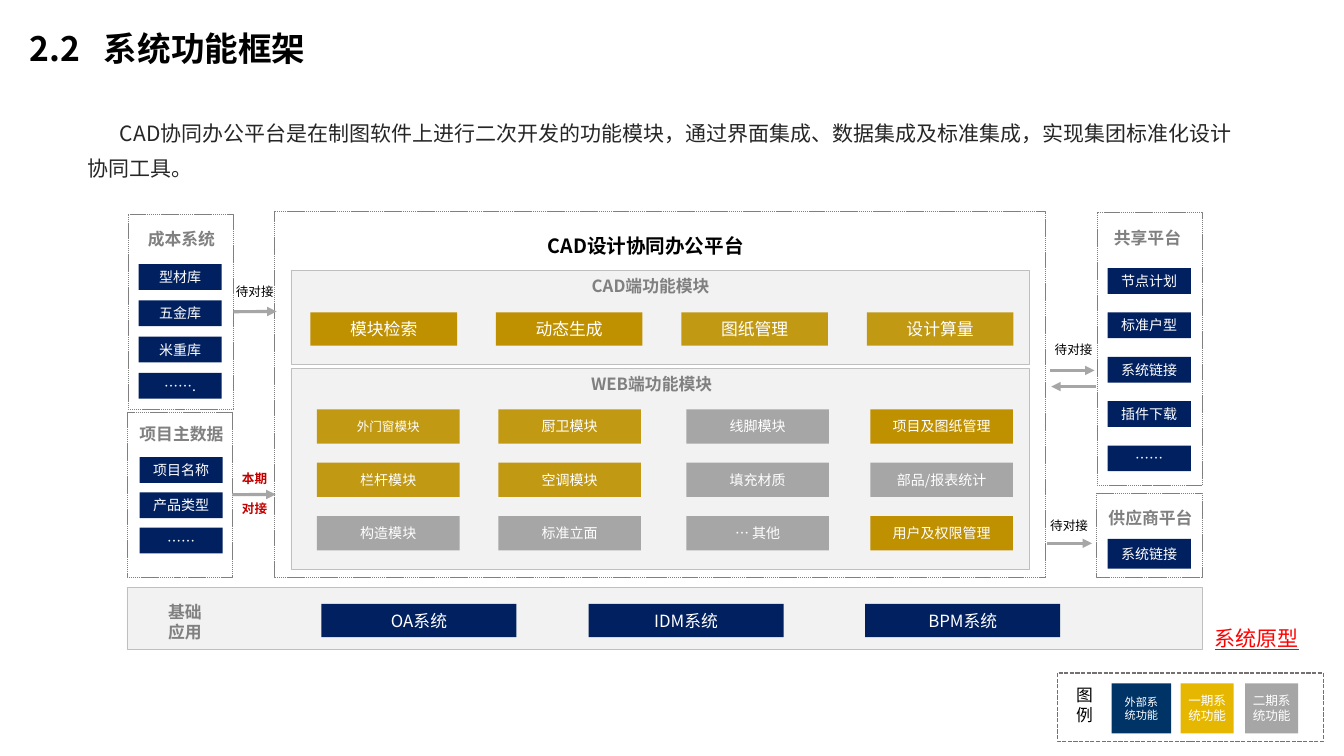
from pptx import Presentation
from pptx.dml.color import RGBColor
from pptx.enum.dml import MSO_LINE
from pptx.enum.shapes import MSO_CONNECTOR, MSO_SHAPE
from pptx.enum.text import MSO_ANCHOR, PP_ALIGN
from pptx.oxml.ns import qn
from pptx.util import Pt
from lxml import etree

PX = 9144  # 100 px to the inch
CJK, LATIN = "Noto Sans CJK SC", "Arial"
RECT, STRAIGHT, SYS_DASH = MSO_SHAPE.RECTANGLE, MSO_CONNECTOR.STRAIGHT, MSO_LINE.SQUARE_DOT
TOP, MIDDLE = MSO_ANCHOR.TOP, MSO_ANCHOR.MIDDLE
LEFT, CENTER = PP_ALIGN.LEFT, PP_ALIGN.CENTER
RIGHT_SIDE = 3

BLACK, WHITE = RGBColor(0, 0, 0), RGBColor(255, 255, 255)
INK, GREY = RGBColor(0x26, 0x26, 0x26), RGBColor(0x80, 0x80, 0x80)
PALE, EDGE = RGBColor(0xF2, 0xF2, 0xF2), RGBColor(0xBF, 0xBF, 0xBF)
SILVER, TAUPE = RGBColor(0xA6, 0xA6, 0xA6), RGBColor(0x76, 0x71, 0x71)
NAVY, TEAL = RGBColor(0, 0x20, 0x60), RGBColor(0, 0x33, 0x66)
GOLD, OCHRE = RGBColor(0xBF, 0x90, 0), RGBColor(0xC2, 0x99, 0x13)
YELLOW = RGBColor(0xE6, 0xB7, 0)
RED, DARK_RED = RGBColor(255, 0, 0), RGBColor(0xC0, 0, 0)

# Content
TITLE = "2.2\t系统功能框架"
INTRO = ("CAD协同办公平台是在制图软件上进行二次开发的功能模块，"
         "通过界面集成、数据集成及标准集成，实现集团标准化设计协同工具。")

# Frames: box, fill, line colour, line width, dashed
FRAMES = [
    ((545, 420, 1529, 726), WHITE, GREY, 0.75, True),
    ((577, 731, 1465, 398), PALE, EDGE, 0.75, False),
    ((577, 536, 1465, 186), PALE, EDGE, 0.75, False),
    ((2098, 1335, 528, 136), WHITE, TAUPE, 2, True),
    ((252, 1166, 2134, 123), PALE, EDGE, 0.75, False),
]

# Outside systems: frame, heading, heading left and top, items, item left, first top, pitch, height
SYSTEMS = {
    "cost": ((254, 425, 209, 387), "成本系统", (136, 449),
             ["型材库", "五金库", "米重库", "……."], 275, 524, 72, 51),
    "project": ((252, 817, 209, 329), "项目主数据", (136, 836),
                ["项目名称", "产品类型", "……"], 277, 907, 70, 51),
    "sharing": ((2177, 422, 209, 541), "共享平台", (2053, 446),
                ["节点计划", "标准户型", "系统链接", "插件下载", "……"], 2198, 532, 88, 51),
    "supplier": ((2176, 979, 209, 167), "供应商平台", (2059, 1002),
                 ["系统链接"], 2198, 1069, 0, 59),
}

CAD_MODULES = [("模块检索", GOLD), ("动态生成", GOLD), ("图纸管理", OCHRE), ("设计算量", OCHRE)]
WEB_COLUMNS = [
    (629, [("外门窗模块", OCHRE), ("栏杆模块", OCHRE), ("构造模块", SILVER)]),
    (989, [("厨卫模块", OCHRE), ("空调模块", OCHRE), ("标准立面", SILVER)]),
    (1362, [("线脚模块", SILVER), ("填充材质", SILVER), ("… 其他", SILVER)]),
    (1727, [("项目及图纸管理", GOLD), ("部品/报表统计", SILVER), ("用户及权限管理", GOLD)]),
]
BASE_SYSTEMS = [("OA系统", 638), ("IDM系统", 1168), ("BPM系统", 1717)]
LEGEND = [("外部系统功能", TEAL, 2206, 118, 16, (19, 9)),
          ("一期系统功能", YELLOW, 2343, 105, 18, (13, 7)),
          ("二期系统功能", SILVER, 2471, 105, 18, (13, 7))]

# Text boxes: lines, box, format
HEADING = dict(size=24, bold=True, color=GREY)
LINK_LABEL = dict(size=18, name=LATIN, color=BLACK, anchor=MIDDLE, inset=(6, 6), wrap=False)
LABELS = [
    ([INTRO], (164, 214, 2319, 144),
     dict(size=30, color=INK, align=LEFT, line_spacing=1.4, indent=64)),
    (["CAD设计协同办公平台"], (1077, 412, 421, 90),
     dict(size=28, bold=True, color=BLACK, align=LEFT, line_spacing=2.0, wrap=False)),
    (["CAD端功能模块"], (1067, 542, 448, 50), HEADING),
    (["WEB端功能模块"], (1069, 737, 448, 50), HEADING),
    (["基础", "应用"], (244, 1189, 246, 91), HEADING),
    (["图例"], (2117, 1353, 70, 91), dict(size=24, color=BLACK)),
    (["系统原型"], (2404, 1235, 180, 62), LINK_LABEL | dict(size=30, color=RED, underline=True)),
    (["待对接"], (462, 557, 87, 42), LINK_LABEL),
    (["待对接"], (2087, 672, 87, 42), LINK_LABEL),
    (["待对接"], (2078, 1021, 87, 42), LINK_LABEL),
    (["本期", "对接"], (474, 928, 62, 102),
     LINK_LABEL | dict(bold=True, color=DARK_RED, gap=21)),
]

# Arrows: start, end, system whose right side it leaves
ARROWS = [
    ((463, 618), (549, 618), "cost"),
    ((461, 981), (547, 981), "project"),
    ((2084, 735), (2172, 735), None),
    ((2174, 767), (2086, 767), None),
    ((2078, 1078), (2167, 1078), None),
]

prs = Presentation()
prs.slide_width, prs.slide_height = 2667 * PX, 1500 * PX
slide = prs.slides.add_slide(prs.slide_layouts[5])


def emu(lengths):
    return [length * PX for length in lengths]


def write(shape, lines, size, color, name=CJK, bold=False, underline=False, align=CENTER,
          anchor=TOP, inset=(10, 5), wrap=True, line_spacing=None, indent=0, gap=0, tab=None):
    frame = shape.text_frame
    dx, dy = emu(inset)
    settings = dict(word_wrap=wrap, vertical_anchor=anchor, margin_left=dx,
                    margin_right=dx, margin_top=dy, margin_bottom=dy)
    for key, value in settings.items():
        setattr(frame, key, value)
    for index, line in enumerate(lines):
        paragraph = frame.add_paragraph() if index else frame.paragraphs[0]
        props = paragraph._p.get_or_add_pPr()
        if indent:
            props.set("indent", str(indent * PX))
        if tab:
            stops = etree.SubElement(props, qn("a:tabLst"))
            etree.SubElement(stops, qn("a:tab"), pos=str(tab * PX), algn="l")
        paragraph.alignment = align
        if line_spacing:
            paragraph.line_spacing = line_spacing
        if index and gap:
            paragraph.space_before = Pt(gap)
        run = paragraph.add_run()
        run.text = line
        for key, value in dict(size=Pt(size), bold=bold, underline=underline, name=name).items():
            setattr(run.font, key, value)
        run.font.color.rgb = color
        etree.SubElement(run._r.get_or_add_rPr(), qn("a:ea"), typeface=CJK)


def add_box(box, fill, edge=None, width=0.75, dashed=False):
    shape = slide.shapes.add_shape(RECT, *emu(box))
    shape.shadow.inherit = False
    shape.fill.solid()
    shape.fill.fore_color.rgb = fill
    if edge is None:
        shape.line.fill.background()
    else:
        shape.line.color.rgb = edge
        shape.line.width = Pt(width)
        if dashed:
            shape.line.dash_style = SYS_DASH
    return shape


def add_tile(label, box, fill, size=20, inset=(13, 7)):
    write(add_box(box, fill), [label], size, WHITE, anchor=MIDDLE, inset=inset)


def add_label(lines, box, style):
    write(slide.shapes.add_textbox(*emu(box)), lines, **style)


# Title
title = slide.shapes.title
title.left, title.top, title.width, title.height = emu((49, 19, 1115, 172))
write(title, [TITLE], 48, BLACK, bold=True, align=LEFT, line_spacing=1.4, tab=147)

# Frames
for frame_format in FRAMES:
    add_box(*frame_format)

# Outside systems
system_frames = {}
for key, (box, heading, place, items, left, top, pitch, height) in SYSTEMS.items():
    system_frames[key] = add_box(box, WHITE, GREY, dashed=True)
    add_label([heading], (*place, 448, 50), HEADING)
    for row, item in enumerate(items):
        add_tile(item, (left, top + row * pitch, 165, height), NAVY)

# Platform modules
for column, (module, fill) in enumerate(CAD_MODULES):
    add_tile(module, (616 + column * 368, 620, 291, 66), fill, 24)
for left, modules in WEB_COLUMNS:
    for row, (module, fill) in enumerate(modules):
        size = 18 if module == "外门窗模块" else 20
        add_tile(module, (left, 812 + row * 106, 283, 68), fill, size)

# Base applications and legend
for system, left in BASE_SYSTEMS:
    add_tile(system, (left, 1198, 387, 66), NAVY, 24)
for meaning, fill, left, width, size, inset in LEGEND:
    add_tile(meaning, (left, 1356, width, 99), fill, size, inset)

# Labels
for label in LABELS:
    add_label(*label)

# Arrows
for start, end, source in ARROWS:
    arrow = slide.shapes.add_connector(STRAIGHT, *emu(start + end))
    if source:
        arrow.begin_connect(system_frames[source], RIGHT_SIDE)
    arrow.line.color.rgb = SILVER
    arrow.line.width = Pt(4.5)
    etree.SubElement(arrow.line._get_or_add_ln(), qn("a:tailEnd"), type="triangle")
    etree.SubElement(arrow._element.spPr, qn("a:effectLst"))

prs.save("out.pptx")
